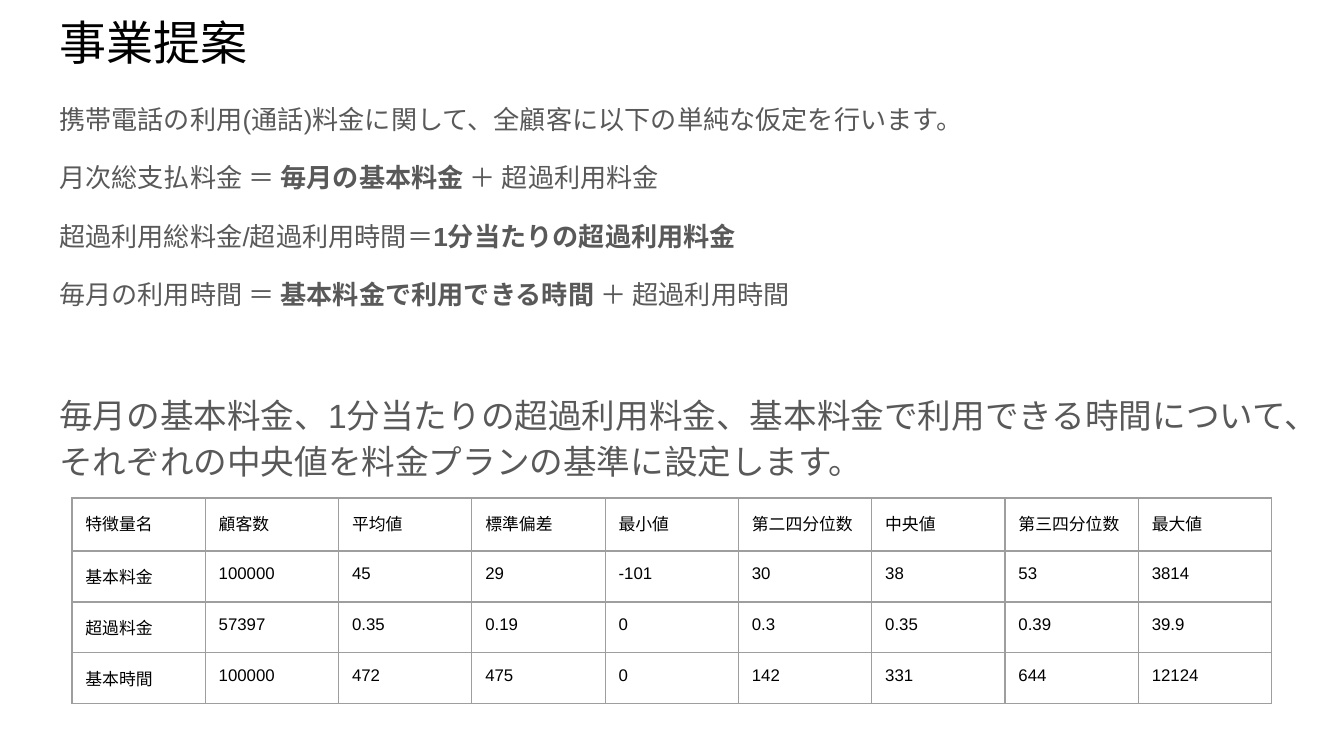
import pptx
import pptx.dml.color
import pptx.oxml
import pptx.oxml.ns
import pptx.util

PX = 9144000 / 1344
WIDTH, HEIGHT = 1344, 756
BLACK = pptx.dml.color.RGBColor(0x00, 0x00, 0x00)
GRAY = pptx.dml.color.RGBColor(0x59, 0x59, 0x59)
BORDER = pptx.dml.color.RGBColor(0x9E, 0x9E, 0x9E)

# Each paragraph: size, space before, runs as (text, bold)
ASSUMPTIONS = [
    (14, 0, [("携帯電話の利用(通話)料金に関して、全顧客に以下の単純な仮定を行います。", False)]),
    (14, 12, [("月次総支払料金 ＝ ", False), ("毎月の基本料金", True), (" ＋ 超過利用料金", False)]),
    (14, 12, [("超過利用総料金/超過利用時間＝", False), ("1分当たりの超過利用料金", True)]),
    (14, 12, [("毎月の利用時間 ＝ ", False), ("基本料金で利用できる時間", True),
              (" ＋ 超過利用時間", False)]),
    (18, 42.5, [("毎月の基本料金、1分当たりの超過利用料金、基本料金で利用できる時間について、"
                 "それぞれの中央値を料金プランの基準に設定します。", False)]),
]

STATISTICS = [
    ["特徴量名", "顧客数", "平均値", "標準偏差", "最小値", "第二四分位数", "中央値", "第三四分位数", "最大値"],
    ["基本料金", "100000", "45", "29", "-101", "30", "38", "53", "3814"],
    ["超過料金", "57397", "0.35", "0.19", "0", "0.3", "0.35", "0.39", "39.9"],
    ["基本時間", "100000", "472", "475", "0", "142", "331", "644", "12124"],
]


def emu(px):
    return pptx.util.Emu(round(px * PX))


class SlideBuilder:
    font_name = "Arial"
    inset = pptx.util.Inches(0.1)

    def __init__(self, slide):
        self.slide = slide

    def style(self, paragraph, size, color):
        font = paragraph.font
        font.name = self.font_name
        font.size = pptx.util.Pt(size)
        font.color.rgb = color

    def set_insets(self, holder):
        """Apply the common margins to a text frame or table cell."""
        holder.margin_left = holder.margin_right = self.inset
        holder.margin_top = holder.margin_bottom = self.inset

    def text(self, left, top, width, height, paragraphs, color, line_spacing=1.0):
        box = self.slide.shapes.add_textbox(emu(left), emu(top), emu(width), emu(height))
        frame = box.text_frame
        frame.word_wrap = True
        self.set_insets(frame)
        for index, (size, space_before, runs) in enumerate(paragraphs):
            paragraph = frame.add_paragraph() if index else frame.paragraphs[0]
            paragraph.line_spacing = line_spacing
            paragraph.space_before = pptx.util.Pt(space_before)
            self.style(paragraph, size, color)
            for words, bold in runs:
                run = paragraph.add_run()
                run.text = words
                run.font.bold = bold

    def cell_borders(self, cell, color, points):
        properties = cell._tc.get_or_add_tcPr()
        for position, side in enumerate(("lnL", "lnR", "lnT", "lnB")):
            line = pptx.oxml.parse_xml(
                f'<a:{side} {pptx.oxml.ns.nsdecls("a")} w="{pptx.util.Pt(points)}">'
                f'<a:solidFill><a:srgbClr val="{color}"/></a:solidFill></a:{side}>')
            properties.insert(position, line)

    def table(self, left, top, width, row_heights, rows, size):
        columns = len(rows[0])
        table = self.slide.shapes.add_table(
            len(rows), columns, emu(left), emu(top), emu(width), emu(sum(row_heights))).table
        table.first_row = table.horz_banding = False
        for column in table.columns:
            column.width = emu(width / columns)
        for row, height, values in zip(table.rows, row_heights, rows):
            row.height = emu(height)
            for cell, value in zip(row.cells, values):
                cell.text = value
                cell.fill.background()
                self.set_insets(cell)
                self.style(cell.text_frame.paragraphs[0], size, BLACK)
                self.cell_borders(cell, BORDER, 0.75)


def main():
    presentation = pptx.Presentation()
    presentation.slide_width = emu(WIDTH)
    presentation.slide_height = emu(HEIGHT)
    builder = SlideBuilder(presentation.slides.add_slide(presentation.slide_layouts[6]))

    builder.text(46, 0, 1252, 85, [(25.2, 0, [("事業提案", False)])], BLACK)
    builder.text(46, 85, 1252, 671, ASSUMPTIONS, GRAY, line_spacing=1.15)
    builder.table(72, 498, 1200, [53, 51, 51, 51], STATISTICS, size=9)

    presentation.save("out.pptx")


if __name__ == "__main__":
    main()
